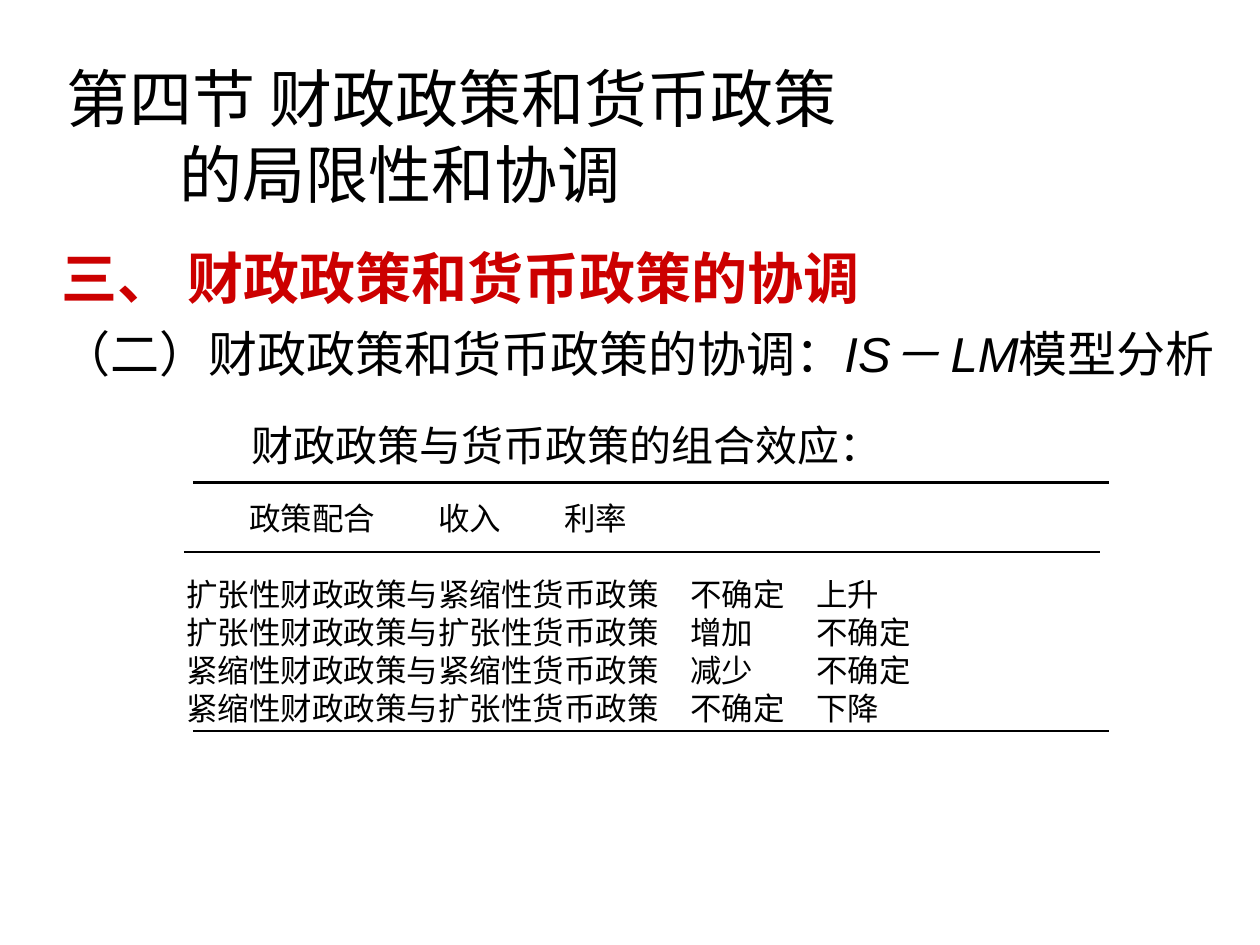
from dataclasses import dataclass

from lxml import etree
from pptx import Presentation
from pptx import util as u
from pptx.dml.color import RGBColor
from pptx.enum import shapes, text
from pptx.oxml.ns import qn

BLACK = RGBColor(0x00, 0x00, 0x00)
RED = RGBColor(0xCC, 0x00, 0x00)
LATIN, HAN = "Arial", "Noto Sans CJK SC"
PITCH = 1.207  # line height per point of type


@dataclass
class Run:
    """A stretch of text with one look."""
    words: str
    size: int
    color: RGBColor = BLACK
    bold: bool = False
    slant: bool = False
    font: str = LATIN


@dataclass
class Para:
    """Runs with indents and tabs in inches, and space before in points."""
    runs: list[Run]
    left: float = 0
    first: float = 0
    before: float = 0
    tabs: tuple = ()
    align: text.PP_ALIGN = text.PP_ALIGN.LEFT


@dataclass
class Rule:
    """A level line."""
    left: float
    top: float


def add_run(para, run: Run) -> None:
    """Add one run of text to a paragraph."""
    item = para.add_run()
    item.text = run.words
    font = item.font
    font.name, font.size = run.font, u.Pt(run.size)
    font.bold, font.italic = run.bold, run.slant
    font.color.rgb = run.color
    etree.SubElement(font._element, qn("a:ea"), typeface=HAN)


def add_para(para, data: Para) -> None:
    """Fill one paragraph."""
    para.alignment = data.align
    para.line_spacing = u.Pt(round(data.runs[0].size * PITCH, 1))
    para.space_before = u.Pt(data.before)
    props = para._p.get_or_add_pPr()
    props.set("marL", str(u.Inches(data.left)))
    props.set("indent", str(u.Inches(data.first)))
    if data.tabs:
        stops = etree.SubElement(props, qn("a:tabLst"))
        for place, kind in data.tabs:
            etree.SubElement(stops, qn("a:tab"), pos=str(u.Inches(place)), algn=kind)
    for run in data.runs:
        add_run(para, run)


def add_box(slide, place: tuple, paras: list[Para], inset: float = 0.05,
            anchor=text.MSO_ANCHOR.TOP) -> None:
    """Add a text box that wraps."""
    frame = slide.shapes.add_textbox(*map(u.Inches, place)).text_frame
    frame.word_wrap = True
    frame.margin_top = u.Inches(inset)
    frame.vertical_anchor = anchor
    for i, data in enumerate(paras):
        add_para(frame.add_paragraph() if i else frame.paragraphs[0], data)


def add_rule(slide, rule: Rule) -> None:
    """Draw a level line without shadow."""
    top = u.Inches(rule.top)
    line = slide.shapes.add_connector(
        shapes.MSO_CONNECTOR.STRAIGHT, u.Inches(rule.left), top,
        u.Inches(rule.left + 7.27), top)
    line.line.color.rgb = BLACK
    line.line.width = u.Pt(1.25)
    etree.SubElement(line._element.spPr, qn("a:effectLst"))


HEAD_TABS = ((1.5, "ctr"), (4.04, "ctr"), (5.77, "ctr"))
ROW_TABS = ((4.56, "ctr"), (6.35, "ctr"))
ROWS = [
    ("扩张性财政政策与紧缩性货币政策", "不确定", "上升"),
    ("扩张性财政政策与扩张性货币政策", "增加", "不确定"),
    ("紧缩性财政政策与紧缩性货币政策", "减少", "不确定"),
    ("紧缩性财政政策与扩张性货币政策", "不确定", "下降"),
]
RULES = [Rule(1.53, 3.83), Rule(1.46, 4.38), Rule(1.53, 5.8)]

deck = Presentation()
deck.slide_width, deck.slide_height = u.Inches(10), u.Inches(7.5)
slide = deck.slides.add_slide(deck.slide_layouts[6])

add_box(slide, (0.39, 1.23, 9.61, 5.15), [
    Para([Run("三、\t财政政策和货币政策的协调", 32, RED, bold=True)],
         tabs=((1.08, "l"),)),
    Para([Run("(二)财政政策和货币政策的协调:".translate(str.maketrans("():", "（）：")), 28),
          Run("IS－ LM", 28, slant=True),
          Run("模型分析", 28)], left=0.38, first=-0.38, before=7),
], inset=0.7)

add_box(slide, (0.98, 3.28, 7.03, 0.5), [
    Para([Run("财政政策与货币政策的组合效应：", 24)], align=text.PP_ALIGN.CENTER),
])

grid = [Para([Run("\t政策配合\t收入\t利率", 18)], tabs=HEAD_TABS)]
grid += [Para([Run("\t".join(row), 18)], tabs=ROW_TABS, before=0 if i else 21.7)
         for i, row in enumerate(ROWS)]
add_box(slide, (1.38, 3.91, 7.69, 1.9), grid)

for rule in RULES:
    add_rule(slide, rule)

add_box(slide, (0.43, 0.6, 9, 0.94), [
    Para([Run("第四节 财政政策和货币政策", 36, font=HAN)]),
    Para([Run("的局限性和协调", 36, font=HAN)], left=0.9),
], anchor=text.MSO_ANCHOR.MIDDLE)

deck.save("out.pptx")
